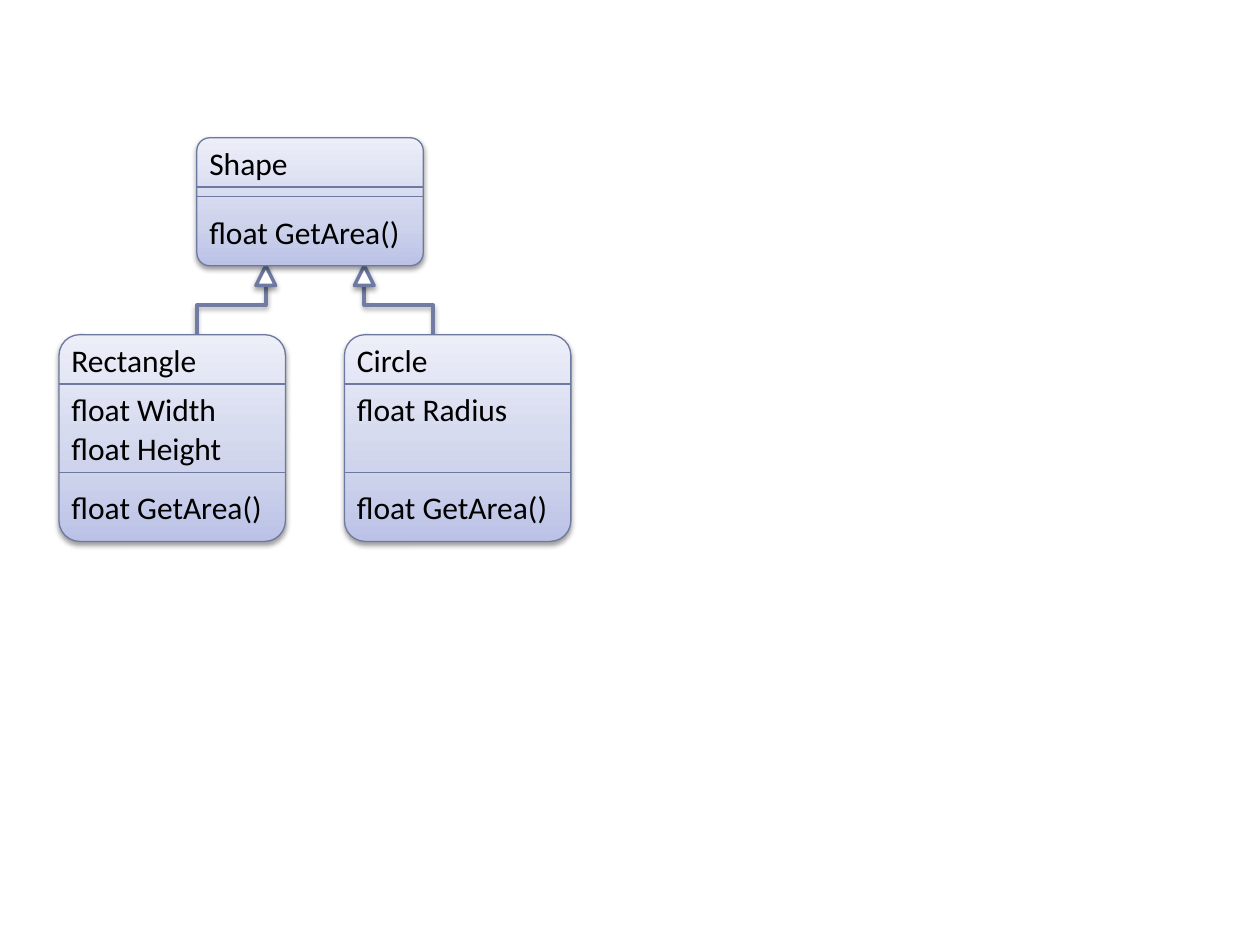
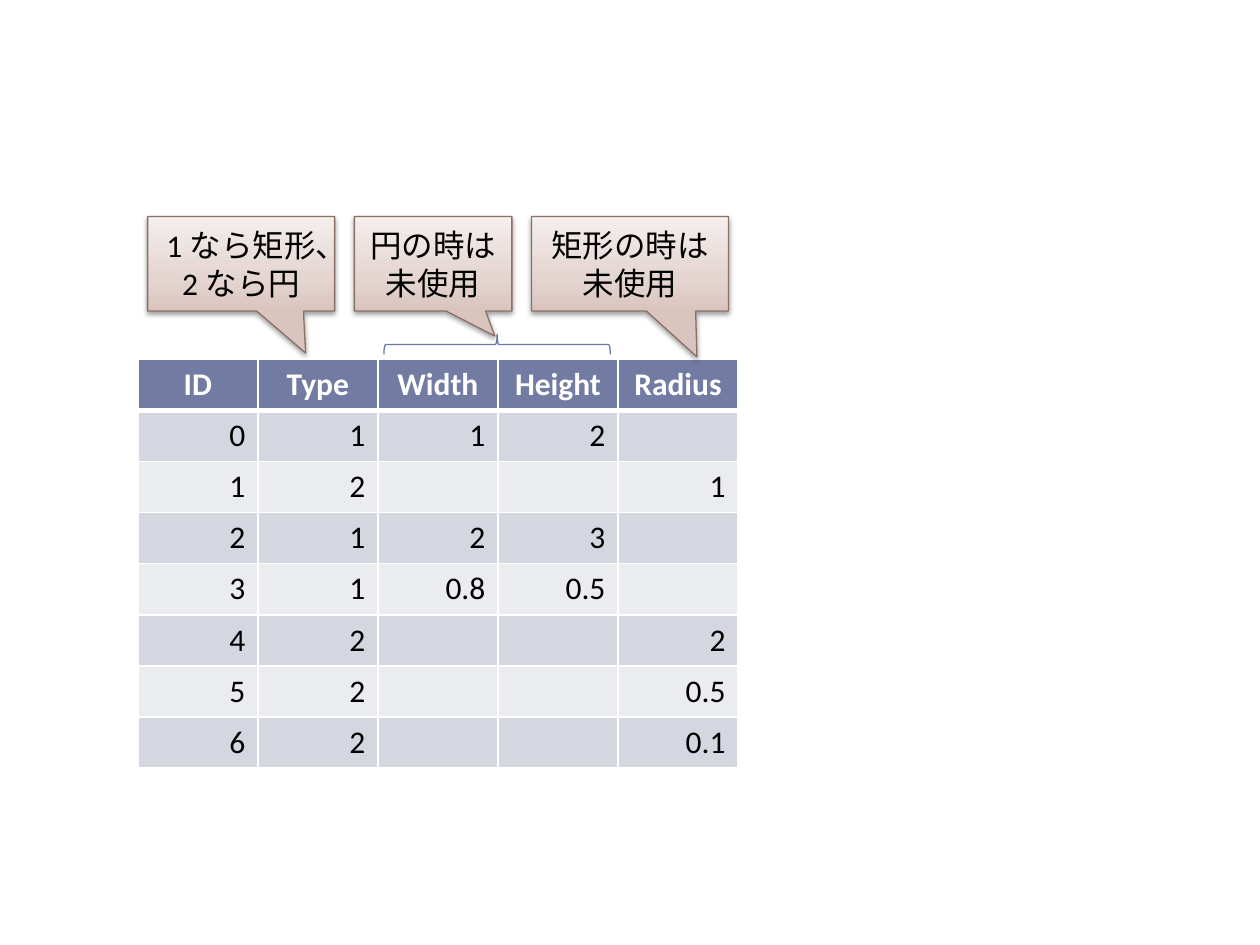
import pptx
import pptx.util
import pptx.dml.color
import pptx.enum.shapes
import pptx.enum.text
import pptx.oxml.ns
from lxml import etree

RGB = pptx.dml.color.RGBColor
KIND = pptx.enum.shapes.MSO_SHAPE
LINK = pptx.enum.shapes.MSO_CONNECTOR
ALIGN = pptx.enum.text.PP_ALIGN
qn = pptx.oxml.ns.qn

BLACK = RGB(0, 0, 0)
WHITE = RGB(255, 255, 255)
SLATE = RGB(0x72, 0x7C, 0xA3)
EDGE = RGB(0x6E, 0x79, 0xA1)
BROWN = RGB(0x8C, 0x70, 0x67)
BANDS = [RGB(0xEB, 0xEC, 0xF0), RGB(0xD5, 0xD7, 0xE0)]
BLUES = [RGB(0xBB, 0xC2, 0xE6), RGB(0xCF, 0xD4, 0xEC), RGB(0xEC, 0xEE, 0xF8)]
TANS = [RGB(0xDA, 0xC4, 0xBE), RGB(0xE4, 0xD5, 0xD1), RGB(0xF5, 0xEF, 0xED)]
STOPS = [0, 35, 100]
FONT = "Calibri"
SIZE = pptx.util.Pt(18)
WIDE = pptx.util.Inches(10)
HIGH = pptx.util.Inches(7.5)
COLS = 128
HEAD = 5
FOOT = 7
LINE = 5.17


def unit(*steps):
    return [round(step * WIDE / COLS) for step in steps]


def tint(parent, color):
    fill = etree.SubElement(parent, qn("a:solidFill"))
    return etree.SubElement(fill, qn("a:srgbClr"), val=str(color))


def shade(item, alpha=38, dist=1.6):
    props = item._element.spPr
    glow = props.find(qn("a:effectLst"))
    if glow is None:
        glow = etree.SubElement(props, qn("a:effectLst"))
    cast = etree.SubElement(
        glow, qn("a:outerShdw"),
        blurRad=str(pptx.util.Pt(3.1)), dist=str(pptx.util.Pt(dist)),
        dir="5400000", rotWithShape="0")
    color = etree.SubElement(cast, qn("a:srgbClr"), val=str(BLACK))
    etree.SubElement(color, qn("a:alpha"), val=str(alpha * 1000))


def blend(shape, colors):
    shape.fill.gradient()
    shape.fill.gradient_angle = 90
    stops = shape._element.spPr.find(".//" + qn("a:gsLst"))
    for old in list(stops):
        stops.remove(old)
    for stop, color in zip(STOPS, colors):
        mark = etree.SubElement(stops, qn("a:gs"), pos=str(stop * 1000))
        etree.SubElement(mark, qn("a:srgbClr"), val=str(color))


def stroke(item, color, width):
    item.line.color.rgb = color
    item.line.width = pptx.util.Pt(width)


def form(shapes, kind, box, edge=EDGE, width=0.75):
    shape = shapes.add_shape(kind, *unit(*box))
    shape.shadow.inherit = False
    stroke(shape, edge, width)
    return shape


def write(para, text, color=BLACK, bold=False, align=None):
    para.alignment = align
    run = para.add_run()
    run.text = text
    run.font.name = FONT
    run.font.size = SIZE
    run.font.bold = bold
    run.font.color.rgb = color


def label(shapes, left, top, text, width):
    frame = shapes.add_textbox(*unit(left, top, width, LINE)).text_frame
    frame.word_wrap = False
    frame.auto_size = pptx.enum.text.MSO_AUTO_SIZE.SHAPE_TO_FIT_TEXT
    write(frame.paragraphs[0], text)


def card(slide, box, name, fields):
    left, top, width, height = box
    shapes = slide.shapes.add_group_shape().shapes
    body = form(shapes, KIND.ROUNDED_RECTANGLE, box)
    body.adjustments[0] = 0.1
    blend(body, BLUES)
    shade(body)
    for row in (HEAD, height - FOOT):
        y = top + row
        rule = shapes.add_connector(LINK.STRAIGHT, *unit(left, y, left + width, y))
        stroke(rule, EDGE, 0.75)
        etree.SubElement(rule._element.spPr, qn("a:effectLst"))
    label(shapes, left, top, *name)
    for index, field in enumerate(fields):
        label(shapes, left, top + HEAD + 4 * index, *field)
    label(shapes, left, top + height - FOOT + 1, "float GetArea()", 22.1)


def arrow(slide, start, end):
    (x, y), (tip, top) = start, end
    side = 1 if x < tip else -1
    midx, midy = (x + tip) / 2, (y + top) / 2
    long, wide = (y - top) / 2, abs(tip - x) / 2
    link = slide.shapes.add_connector(LINK.ELBOW, *unit(
        midx + side * long, midy + wide, midx - side * long, midy - wide))
    link._element.spPr.find(qn("a:xfrm")).set("rot", str((180 - side * 90) * 60000))
    stroke(link, SLATE, 2)
    shade(link, 35, 1.8)
    head = form(slide.shapes, KIND.ISOSCELES_TRIANGLE, (tip - 1, top, 2, 2), width=2)
    head.fill.solid()
    head.fill.fore_color.rgb = WHITE
    shade(head)


def border(cell, row):
    props = cell._tc.get_or_add_tcPr()
    for side in "LRTB":
        thick = (row, side) in ((0, "B"), (1, "T"))
        line = etree.SubElement(
            props, qn("a:ln" + side), w=str(pptx.util.Pt(3 if thick else 1)))
        tint(line, WHITE)


def grid(slide, box, rows):
    table = slide.shapes.add_table(len(rows), len(rows[0]), *unit(*box)).table
    for y, row in enumerate(rows):
        for x, text in enumerate(row):
            cell = table.cell(y, x)
            border(cell, y)
            cell.fill.solid()
            cell.fill.fore_color.rgb = BANDS[y % 2] if y else SLATE
            para = cell.text_frame.paragraphs[0]
            if not text:
                para.font.size = SIZE
            elif y:
                write(para, text, align=ALIGN.RIGHT)
            else:
                write(para, text, WHITE, True, ALIGN.CENTER)


def callout(slide, box, tip, lines):
    note = form(slide.shapes, KIND.RECTANGULAR_CALLOUT, box, BROWN)
    note.adjustments[0], note.adjustments[1] = tip
    blend(note, TANS)
    shade(note)
    frame = note.text_frame
    frame.word_wrap = True
    frame.vertical_anchor = pptx.enum.text.MSO_ANCHOR.MIDDLE
    for index, text in enumerate(lines):
        para = frame.add_paragraph() if index else frame.paragraphs[0]
        write(para, text, align=ALIGN.CENTER)


def brace(slide, box):
    left, top, width, height = box
    midx, midy = left + width / 2, top + height / 2
    shape = form(slide.shapes, KIND.LEFT_BRACE,
                 (midx - height / 2, midy - width / 2, height, width))
    shape.rotation = 90
    shape.fill.background()


def model(slide):
    for x, tip in ((20, 27), (44, 37)):
        arrow(slide, (x, 35), (tip, 27))
    card(slide, (20, 14, 23, 13), ("Shape", 10.6), [])
    card(slide, (6, 34, 23, 21), ("Rectangle", 15.5),
         [("float Width", 17.4), ("float Height", 18.05)])
    card(slide, (35, 34, 23, 21), ("Circle", 9.85), [("float Radius", 18.05)])


def records(slide):
    grid(slide, (14, 36.5, 61, 41.5), [
        ("ID", "Type", "Width", "Height", "Radius"),
        ("0", "1", "1", "2", ""),
        ("1", "2", "", "", "1"),
        ("2", "1", "2", "3", ""),
        ("3", "1", "0.8", "0.5", ""),
        ("4", "2", "", "", "2"),
        ("5", "2", "", "", "0.5"),
        ("6", "2", "", "", "0.1"),
    ])
    brace(slide, (39, 34, 23, 2))
    for left, width, tip, lines in (
        (15, 19, (0.345, 0.944), ("1なら矩形、", "2なら円")),
        (36, 16, (0.392, 0.765), ("円の時は", "未使用")),
        (54, 20, (0.34, 0.984), ("矩形の時は", "未使用")),
    ):
        callout(slide, (left, 22, width, 9.6), tip, lines)


deck = pptx.Presentation()
deck.slide_width = WIDE
deck.slide_height = HIGH
for draw in (model, records):
    draw(deck.slides.add_slide(deck.slide_layouts[6]))
deck.save("out.pptx")
